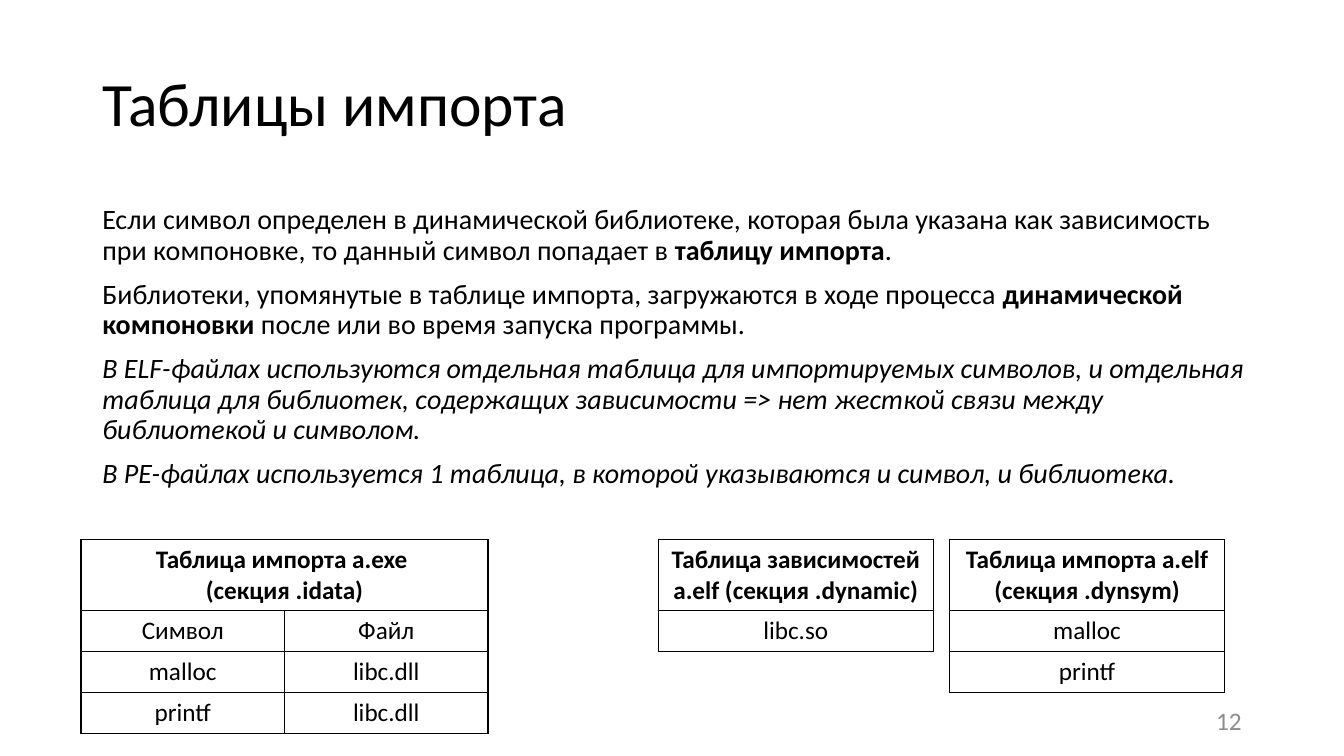
import pptx
import pptx.util
import pptx.dml.color
import pptx.enum.text
import pptx.oxml
import pptx.oxml.ns

Cm = pptx.util.Cm
Pt = pptx.util.Pt
Align = pptx.enum.text.PP_ALIGN
Anchor = pptx.enum.text.MSO_ANCHOR
BLACK = pptx.dml.color.RGBColor(0x00, 0x00, 0x00)
GRAY = pptx.dml.color.RGBColor(0x8C, 0x8C, 0x8C)
FONT = "Calibri"

TITLE = "Таблицы импорта"
NUMBER = "12"
BODY = [
    [("Если символ определен в динамической библиотеке, которая была указана "
      "как зависимость при компоновке, то данный символ попадает в ", ""),
     ("таблицу импорта", "b"), (".", "")],
    [("Библиотеки, упомянутые в таблице импорта, загружаются в ходе процесса ", ""),
     ("динамической компоновки ", "b"),
     ("после или во время запуска программы.", "")],
    [("В ELF-файлах используются отдельная таблица для импортируемых символов, "
      "и отдельная таблица для библиотек, содержащих зависимости => нет жесткой "
      "связи между библиотекой и символом.", "i")],
    [("В PE-файлах используется 1 таблица, в которой указываются и символ, "
      "и библиотека.", "i")],
]
TABLES = [
    (2.04, 5.13, "Таблица импорта a.exe \n(секция .idata)",
     [("Символ", "Файл"), ("malloc", "libc.dll"), ("printf", "libc.dll")]),
    (16.59, 6.93, "Таблица зависимостей a.elf (секция .dynamic)", [("libc.so",)]),
    (23.93, 6.93, "Таблица импорта a.elf (секция .dynsym)",
     [("malloc",), ("printf",)]),
]
TOP, HEAD, ROW = 13.59, 1.8, 1.03


def write(frame, paras, size=18, color=BLACK, align=Align.LEFT,
          anchor=Anchor.TOP, line=None, before=0):
    """Fill a text frame with paragraphs of (text, style) runs."""
    frame.word_wrap = True
    frame.vertical_anchor = anchor
    for i, parts in enumerate(paras):
        para = frame.paragraphs[0] if i == 0 else frame.add_paragraph()
        para.alignment = align
        para.line_spacing = line
        para.space_before = Pt(before)
        for text, style in parts:
            for j, piece in enumerate(text.split("\n")):
                if j:
                    para.add_line_break()
                run = para.add_run()
                run.text = piece
                font = run.font
                font.name, font.size = FONT, Pt(size)
                font.bold, font.italic = style == "b", style == "i"
                font.color.rgb = color


def border(cell):
    """Draw a thin black line on each side of a cell."""
    cell.fill.background()
    props = cell._tc.get_or_add_tcPr()
    for i, side in enumerate("LRTB"):
        props.insert(i, pptx.oxml.parse_xml(
            f'<a:ln{side} {pptx.oxml.ns.nsdecls("a")} w="12700"><a:solidFill>'
            f'<a:srgbClr val="{BLACK}"/></a:solidFill></a:ln{side}>'))


def grid(slide, left, width, head, rows):
    """Add a table with one heading across all its columns."""
    count = len(rows[0])
    shape = slide.shapes.add_table(
        len(rows) + 1, count, Cm(left), Cm(TOP),
        Cm(width * count), Cm(HEAD + ROW * len(rows)))
    table = shape.table
    table.first_row = table.horz_banding = False
    for col in table.columns:
        col.width = Cm(width)
    for i, row in enumerate(table.rows):
        row.height = Cm(ROW if i else HEAD)
    for cell in table.iter_cells():
        border(cell)
    if count > 1:
        table.cell(0, 0).merge(table.cell(0, count - 1))
    write(table.cell(0, 0).text_frame, [[(head, "b")]], align=Align.CENTER)
    for i, row in enumerate(rows, 1):
        for j, text in enumerate(row):
            write(table.cell(i, j).text_frame, [[(text, "")]], align=Align.CENTER)


def main():
    """Build the slide and save it."""
    deck = pptx.Presentation()
    deck.slide_width, deck.slide_height = Cm(33.87), Cm(19.05)
    slide = deck.slides.add_slide(deck.slide_layouts[5])
    title = slide.shapes.title
    title.left, title.top = Cm(2.33), Cm(0.84)
    title.width, title.height = Cm(29.21), Cm(3.68)
    write(title.text_frame, [[(TITLE, "")]], size=44, anchor=Anchor.MIDDLE, line=0.9)
    page = slide.shapes.add_textbox(Cm(23.92), Cm(17.66), Cm(7.62), Cm(1.01))
    write(page.text_frame, [[(NUMBER, "")]], color=GRAY, align=Align.RIGHT,
          anchor=Anchor.MIDDLE)
    body = slide.shapes.add_textbox(Cm(2.33), Cm(5.06), Cm(29.5), Cm(12.1))
    write(body.text_frame, BODY, size=20, line=0.9, before=10)
    for spec in TABLES:
        grid(slide, *spec)
    deck.save("out.pptx")


if __name__ == "__main__":
    main()
